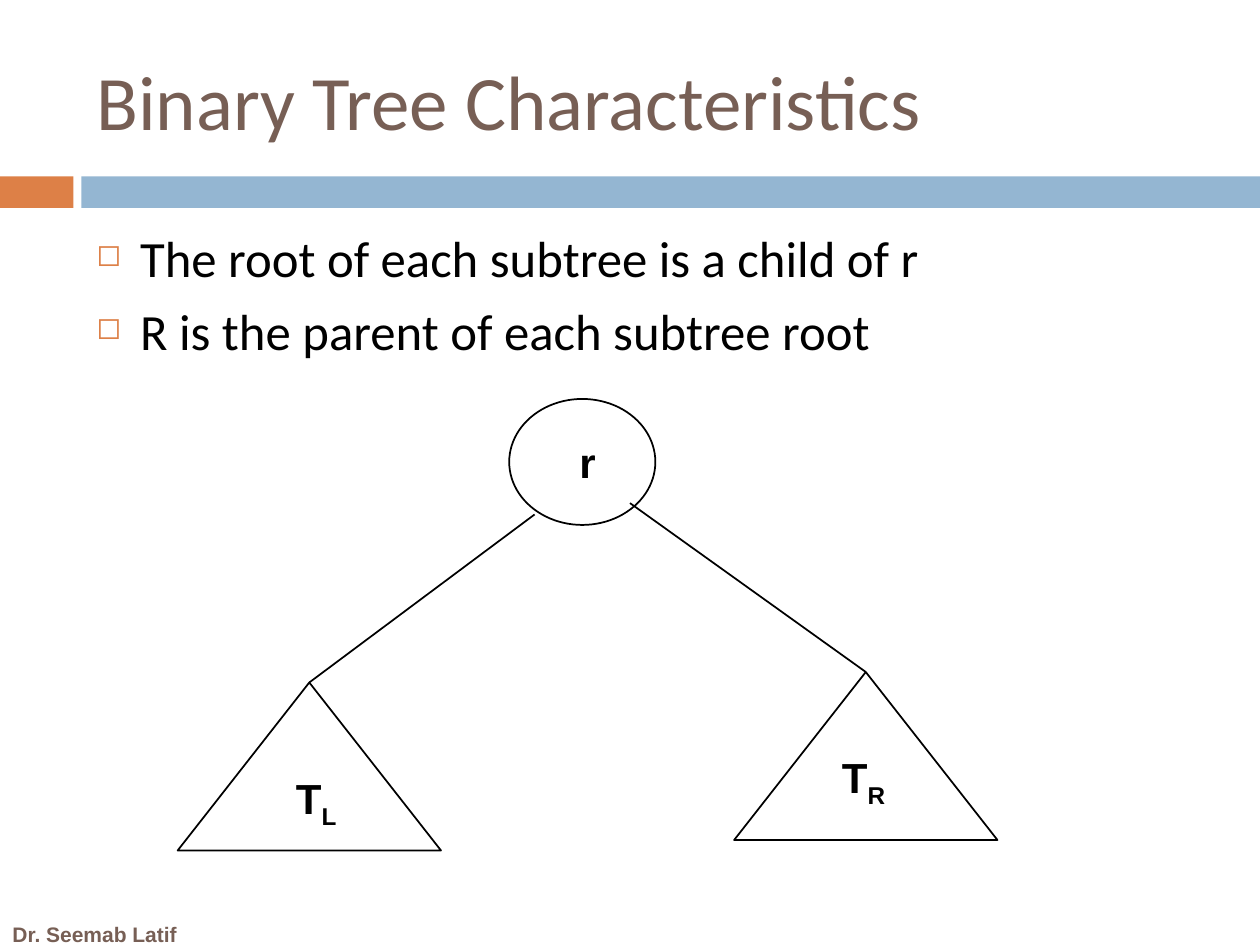
from lxml.etree import SubElement
from pptx import Presentation
from pptx.dml.color import RGBColor
from pptx.enum.shapes import MSO_CONNECTOR, MSO_SHAPE
from pptx.enum.text import MSO_ANCHOR
from pptx.oxml.ns import qn
from pptx.util import Pt

BROWN, ORANGE, BLUE, BLACK = "775F55", "DD8047", "94B6D2", "000000"


def color(hex_code):
    """Turn a hex string into a colour."""
    return RGBColor.from_string(hex_code)


def add_run(paragraph, wording, size, font_name, ink, bold=False, baseline=0):
    """Add one formatted run, lowered when a baseline is given."""
    run = paragraph.add_run()
    run.text = wording
    run.font.size = Pt(size)
    run.font.name = font_name
    run.font.bold = bold
    run.font.color.rgb = color(ink)
    if baseline:
        run.font._element.set("baseline", str(baseline * 1000))


def add_frame(slide, box, anchor=MSO_ANCHOR.TOP, wrap=True):
    """Add an empty text box and return its text frame."""
    frame = slide.shapes.add_textbox(*map(Pt, box)).text_frame
    frame.word_wrap = wrap
    frame.vertical_anchor = anchor
    return frame


def add_bullet(paragraph):
    """Give a paragraph a hanging square bullet."""
    properties = paragraph._p.get_or_add_pPr()
    properties.set("marL", str(Pt(25)))
    properties.set("indent", str(-Pt(25)))
    bullet_color = SubElement(properties, qn("a:buClr"))
    SubElement(bullet_color, qn("a:srgbClr"), val=ORANGE)
    SubElement(properties, qn("a:buSzPct"), val="60000")
    SubElement(properties, qn("a:buChar"), char="◻")


def add_band(slide, box, gap_left, gap_right):
    """Split a band into an orange tab and a blue bar."""
    left, top, width, height = box
    for start, end, fill in ((left, gap_left, ORANGE), (gap_right, left + width, BLUE)):
        bar = slide.shapes.add_shape(
            MSO_SHAPE.RECTANGLE, Pt(start), Pt(top), Pt(end - start), Pt(height))
        bar.shadow.inherit = False
        bar.fill.solid()
        bar.fill.fore_color.rgb = color(fill)
        bar.line.fill.background()


def add_line_of_text(slide, box, wording, size, font_name, bold=False):
    """Place one brown line of text, centred vertically."""
    frame = add_frame(slide, box, MSO_ANCHOR.MIDDLE)
    add_run(frame.paragraphs[0], wording, size, font_name, BROWN, bold)


def add_points(slide, box, points):
    """Place the bulleted points."""
    frame = add_frame(slide, box)
    for index, point in enumerate(points):
        paragraph = frame.add_paragraph() if index else frame.paragraphs[0]
        add_bullet(paragraph)
        paragraph.space_before = Pt(7 if index else 0)
        add_run(paragraph, point, 29, "Calibri", BLACK)


def add_node(slide, preset, box, label_offset, letter, subscript=""):
    """Draw an outlined node with its label inside."""
    left, top = box[:2]
    node = slide.shapes.add_shape(preset, *map(Pt, box))
    node.shadow.inherit = False
    node.fill.background()
    node.line.color.rgb = color(BLACK)
    node.line.width = Pt(1)
    label_x, label_y = label_offset
    label = add_frame(slide, (left + label_x, top + label_y, 40, 36), wrap=False).paragraphs[0]
    add_run(label, letter, 24, "Arial", BLACK, True)
    if subscript:
        add_run(label, subscript, 24, "Arial", BLACK, True, -25)


def add_edge(slide, start, end):
    """Join two points with a thin black line."""
    edge = slide.shapes.add_connector(MSO_CONNECTOR.STRAIGHT, *map(Pt, start + end))
    edge.line.color.rgb = color(BLACK)
    edge.line.width = Pt(1)
    SubElement(edge._element.spPr, qn("a:effectLst"))


def add_tree(slide, box):
    """Draw the root, its two subtrees and the edges between them."""
    left, top, width, height = box
    subtree_width, subtree_height = 150.5, 96
    right_left = left + width - subtree_width
    left_top = top + height - subtree_height
    right_top = left_top - 6
    add_node(slide, MSO_SHAPE.OVAL, (left + 189.5, top, 83.5, 72), (33, 18), "r")
    add_node(slide, MSO_SHAPE.ISOSCELES_TRIANGLE,
             (left, left_top, subtree_width, subtree_height), (60.5, 48), "T", "L")
    add_node(slide, MSO_SHAPE.ISOSCELES_TRIANGLE,
             (right_left, right_top, subtree_width, subtree_height), (54.5, 42), "T", "R")
    add_edge(slide, (left + 204, top + 66), (left + subtree_width / 2, left_top))
    add_edge(slide, (left + 258.5, top + 59.5), (right_left + subtree_width / 2, right_top))


def main():
    """Build the slide and save it."""
    deck = Presentation()
    deck.slide_width, deck.slide_height = Pt(720), Pt(540)
    slide = deck.slides.add_slide(deck.slide_layouts[6])
    add_band(slide, (0, 100.8, 720, 18), 42, 46.5)
    add_line_of_text(slide, (0, 522, 132, 23), "Dr. Seemab Latif", 12, "Arial", True)
    add_line_of_text(slide, (48, 18, 642, 78), "Binary Tree Characteristics", 44, "Calibri")
    add_points(slide, (48, 126, 642, 354), (
        "The root of each subtree is a child of r",
        "R is the parent of each subtree root",
    ))
    add_tree(slide, (101.5, 228, 468.5, 258))
    deck.save("out.pptx")


if __name__ == "__main__":
    main()
